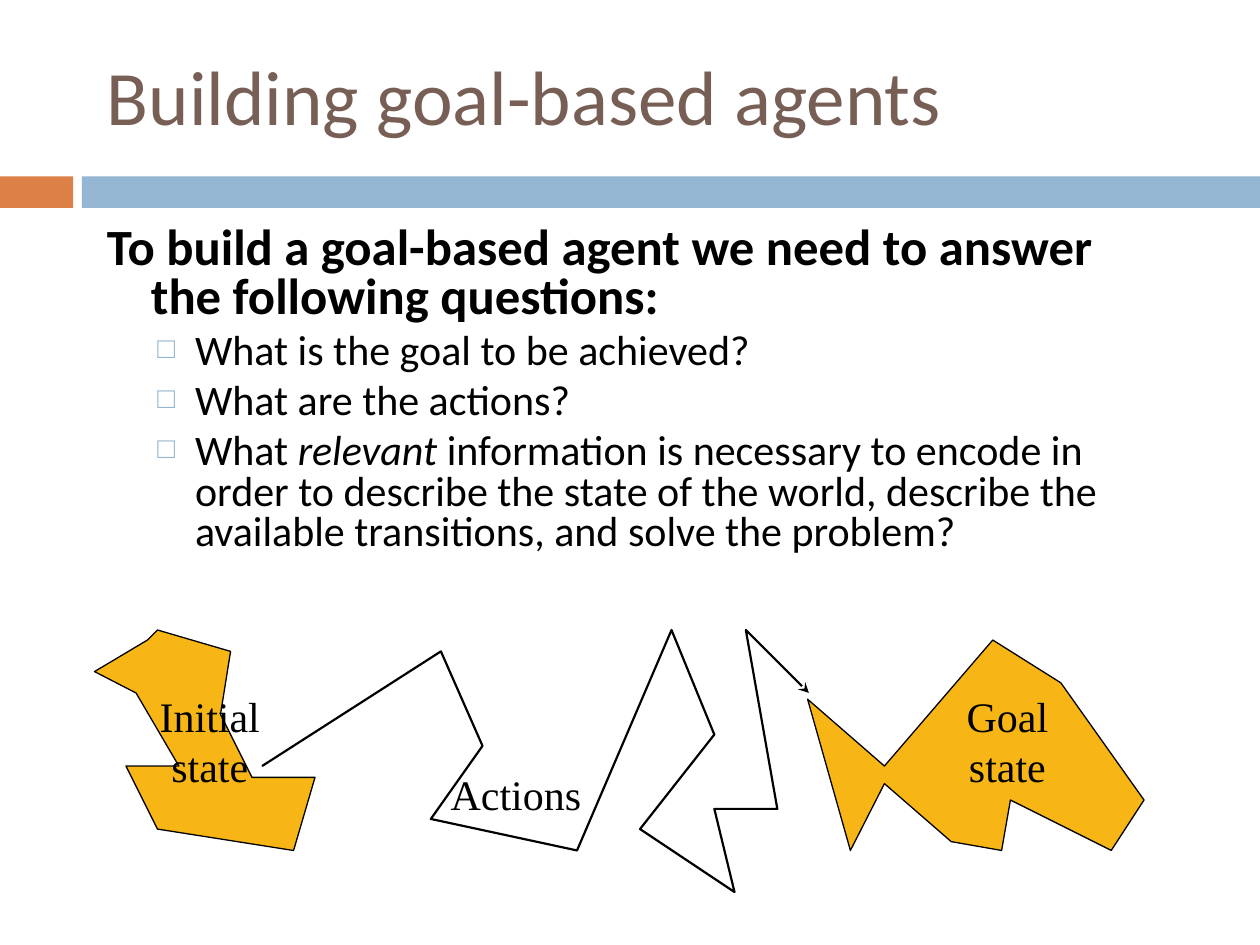
import pptx
import pptx.util
import pptx.dml.color
import pptx.enum.shapes
import pptx.enum.text
from lxml import etree
from pptx.oxml.ns import qn

Inches, Pt = pptx.util.Inches, pptx.util.Pt
RGBColor = pptx.dml.color.RGBColor

BLACK = RGBColor(0x00, 0x00, 0x00)
BROWN = RGBColor(0x77, 0x5F, 0x55)
ORANGE = RGBColor(0xDD, 0x80, 0x47)
BLUE = RGBColor(0x94, 0xB6, 0xD2)
GOLD = RGBColor(0xF7, 0xB6, 0x15)
SANS, SERIF = "Calibri", "Times New Roman"

TITLE = "Building goal-based agents"
LEAD = "To build a goal-based agent we need to answer the following questions:"
# Each question is a list of (words, italic) spans.
QUESTIONS = [
    [("What is the goal to be achieved?", False)],
    [("What are the actions?", False)],
    [("What ", False), ("relevant ", True),
     ("information is necessary to encode in order to describe the state of the world, "
      "describe the available transitions, and solve the problem?", False)],
]
BANDS = [((0, 1.4, 0.58, 0.25), ORANGE), ((0.65, 1.4, 9.35, 0.25), BLUE)]
INITIAL_STATE = [(1.25, 5), (1.83, 5.17), (1.75, 5.67), (2, 6.17), (2.5, 6.17), (2.33, 6.75),
                 (1.25, 6.58), (1, 6.08), (1.42, 6.08), (1.08, 5.5), (0.75, 5.33), (1.17, 5.08)]
GOAL_STATE = [(7.02, 6.08), (7.88, 5.08), (8.42, 5.42), (9.08, 6.35), (8.82, 6.75), (8.02, 6.35),
              (7.95, 6.75), (7.55, 6.68), (7.02, 6.22), (6.75, 6.75), (6.41, 5.55)]
ACTIONS = [(2.08, 6.08), (3.5, 5.17), (3.83, 5.92), (3.42, 6.5), (4.58, 6.75), (5.33, 5),
           (5.67, 5.83), (5.08, 6.58), (5.83, 7.08), (5.67, 6.42), (6.17, 6.42), (5.92, 5),
           (6.42, 5.5)]
LABELS = [
    (["Initial", "state"], (1.17, 5.43, 0.99, 0.9)),
    (["Goal", "state"], (7.57, 5.43, 0.85, 0.9)),
    (["Actions"], (3.48, 6.05, 1.23, 0.5)),
]


def inches(values):
    return [Inches(value) for value in values]


def style(font, size, color, name=SANS, bold=False, italic=False):
    font.name, font.size, font.bold, font.italic = name, Pt(size), bold, italic
    font.color.rgb = color


def add_text_frame(page, place, wrap=True):
    frame = page.shapes.add_textbox(*inches(place)).text_frame
    frame.word_wrap = wrap
    return frame


def add_outline(page, points, width, fill=None):
    """Draw a closed shape when a fill is given, otherwise an open line."""
    start, *corners = [inches(point) for point in points]
    builder = page.shapes.build_freeform(*start)
    builder.add_line_segments(corners, close=fill is not None)
    outline = builder.convert_to_shape()
    outline.shadow.inherit = False
    outline.line.color.rgb = BLACK
    outline.line.width = Pt(width)
    if fill is None:
        outline.fill.background()
    else:
        outline.fill.solid()
        outline.fill.fore_color.rgb = fill
    return outline


def set_indent(para, margin, first):
    properties = para._p.get_or_add_pPr()
    properties.set("marL", str(Inches(margin)))
    properties.set("indent", str(Inches(first)))
    return properties


def add_square_bullet(properties):
    color = etree.SubElement(properties, qn("a:buClr"))
    etree.SubElement(color, qn("a:srgbClr"), val=str(BLUE))
    etree.SubElement(properties, qn("a:buSzPct"), val="70000")
    etree.SubElement(properties, qn("a:buFont"), typeface=SERIF)
    etree.SubElement(properties, qn("a:buChar"), char="□")


def add_body(page):
    frame = add_text_frame(page, (0.75, 1.75, 8.5, 3.25))
    lead = frame.paragraphs[0]
    lead.text = LEAD
    lead.line_spacing = 0.8
    set_indent(lead, 0.35, -0.35)
    style(lead.runs[0].font, 29, BLACK, bold=True)
    for question in QUESTIONS:
        para = frame.add_paragraph()
        para.level = 1
        para.line_spacing = 0.8
        para.space_before = Pt(5.5)
        add_square_bullet(set_indent(para, 0.7, -0.3))
        for words, italic in question:
            span = para.add_run()
            span.text = words
            style(span.font, 24, BLACK, italic=italic)


def add_label(page, lines, place):
    frame = add_text_frame(page, place, wrap=False)
    frame.margin_left = frame.margin_right = 0
    frame.text = "\n".join(lines)
    for para in frame.paragraphs:
        para.alignment = pptx.enum.text.PP_ALIGN.CENTER
        style(para.runs[0].font, 24, BLACK, name=SERIF)


def main():
    deck = pptx.Presentation()
    deck.slide_width, deck.slide_height = Inches(10), Inches(7.5)
    page = deck.slides.add_slide(deck.slide_layouts[6])

    for place, color in BANDS:
        band = page.shapes.add_shape(pptx.enum.shapes.MSO_SHAPE.RECTANGLE, *inches(place))
        band.shadow.inherit = False
        band.fill.solid()
        band.fill.fore_color.rgb = color
        band.line.fill.background()

    title = add_text_frame(page, (0.75, 0.25, 8.5, 1))
    title.vertical_anchor = pptx.enum.text.MSO_ANCHOR.MIDDLE
    title.text = TITLE
    style(title.paragraphs[0].runs[0].font, 44, BROWN)
    add_body(page)

    for points in (INITIAL_STATE, GOAL_STATE):
        add_outline(page, points, 0.75, GOLD)
    route = add_outline(page, ACTIONS, 1.25)
    etree.SubElement(route.line._get_or_add_ln(), qn("a:tailEnd"), type="stealth")

    for lines, place in LABELS:
        add_label(page, lines, place)

    deck.save("out.pptx")


if __name__ == "__main__":
    main()
